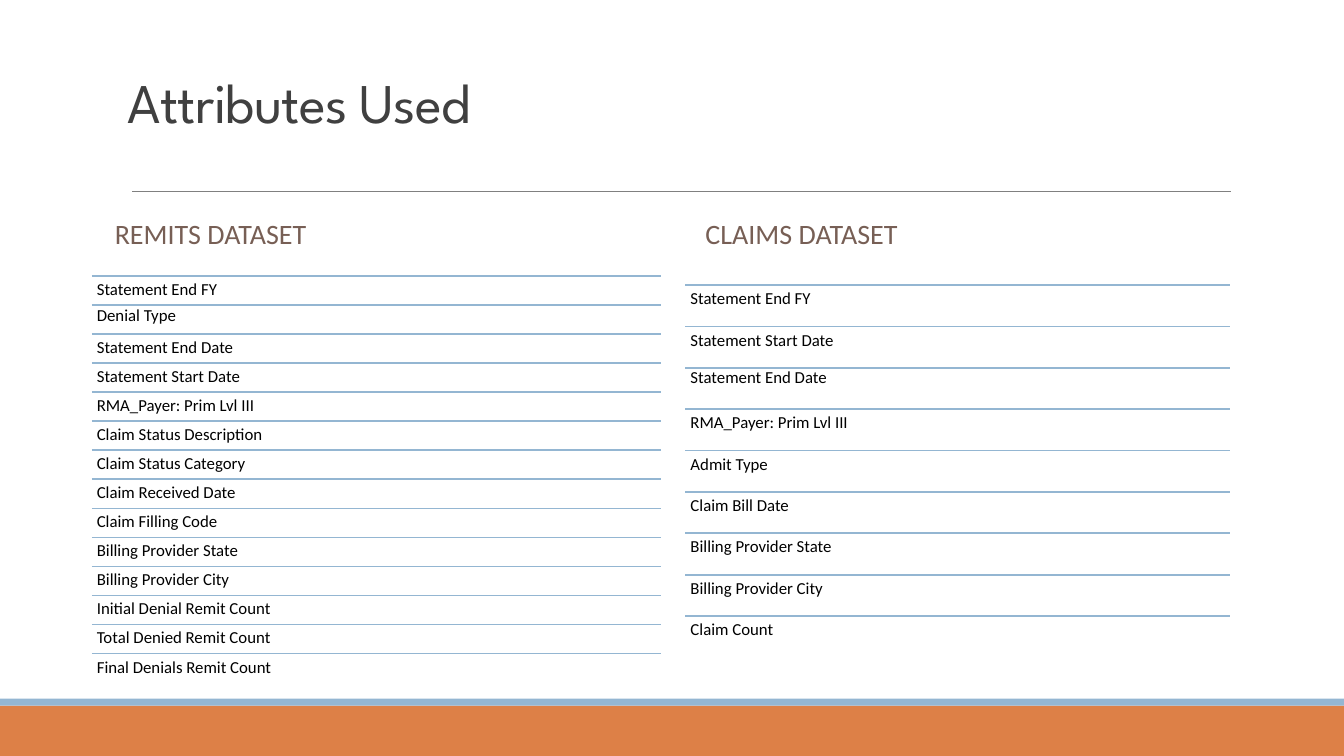
from dataclasses import dataclass

from lxml.etree import SubElement
from pptx import Presentation
from pptx.dml.color import RGBColor as RGB
from pptx.enum.shapes import MSO_CONNECTOR as Connector, MSO_SHAPE as Shape
from pptx.enum.text import MSO_ANCHOR as Anchor
from pptx.oxml.ns import qn
from pptx.util import Inches, Pt

# Content: spans are percent of slide width, tops and pitches percent of height
TITLE = "Attributes Used"
DATASETS = [
    {
        "heading": "REMITS DATASET", "heading_left": 7.8,
        "span": (6.83, 49.17), "top": 36.53, "pitch": 3.84,
        "raised": {"Denial Type": 0.4},
        "attributes": [
            "Statement End FY", "Denial Type", "Statement End Date",
            "Statement Start Date", "RMA_Payer: Prim Lvl III",
            "Claim Status Description", "Claim Status Category",
            "Claim Received Date", "Claim Filling Code",
            "Billing Provider State", "Billing Provider City",
            "Initial Denial Remit Count", "Total Denied Remit Count",
            "Final Denials Remit Count",
        ],
    },
    {
        "heading": "CLAIMS DATASET", "heading_left": 51.75,
        "span": (51, 91.5), "top": 37.73, "pitch": 5.47,
        "raised": {"Statement End Date": 0.53},
        "attributes": [
            "Statement End FY", "Statement Start Date", "Statement End Date",
            "RMA_Payer: Prim Lvl III", "Admit Type", "Claim Bill Date",
            "Billing Provider State", "Billing Provider City", "Claim Count",
        ],
    },
]


@dataclass(frozen=True)
class Theme:
    title_font: str = "League Spartan"
    body_font: str = "Calibri"
    title_size: int = 40
    heading_size: int = 20
    row_size: int = 12
    title: str = "404040"
    heading: str = "775F55"
    row: str = "000000"
    rule: str = "808080"
    blue: str = "94B6D2"
    orange: str = "DD8047"


theme = Theme()
deck = Presentation()
deck.slide_width, deck.slide_height = Inches(13.33), Inches(7.5)
slide = deck.slides.add_slide(deck.slide_layouts[6])


def across(percent):
    return round(deck.slide_width * percent / 100)


def down(percent):
    return round(deck.slide_height * percent / 100)


def add_band(top, height, color):
    band = slide.shapes.add_shape(Shape.RECTANGLE, 0, down(top), deck.slide_width, down(height))
    band.shadow.inherit = False
    band.fill.solid()
    band.fill.fore_color.rgb = RGB.from_string(color)
    band.line.fill.background()


def add_rule(shapes, span, top, color, weight):
    left, right = map(across, span)
    rule = shapes.add_connector(Connector.STRAIGHT, left, down(top), right, down(top))
    rule.line.color.rgb = RGB.from_string(color)
    rule.line.width = Pt(weight)
    SubElement(rule._element.spPr, qn("a:effectLst"))


def add_text(shapes, text, box, font, size, color, anchor, spacing=0.9, inset=None):
    left, top, width, height = box
    label = shapes.add_textbox(across(left), down(top), across(width), down(height))
    frame = label.text_frame
    frame.word_wrap = True
    frame.vertical_anchor = anchor
    if inset is not None:
        frame.margin_left = frame.margin_right = Inches(inset)
        frame.margin_top = frame.margin_bottom = Inches(inset)
    paragraph = frame.paragraphs[0]
    paragraph.text = text
    paragraph.line_spacing = spacing
    paragraph.font.name = font
    paragraph.font.size = Pt(size)
    paragraph.font.color.rgb = RGB.from_string(color)
    return paragraph


# Footer bands and title
add_band(93.33, 6.67, theme.orange)
add_band(92.4, 0.93, theme.blue)
add_rule(slide.shapes, (9.83, 91.6), 25.33, theme.rule, 0.5)
title = add_text(slide.shapes, TITLE, (8.78, 7.73, 82.5, 10.8), theme.title_font,
                 theme.title_size, theme.title, Anchor.BOTTOM, spacing=0.85)
title.runs[0]._r.get_or_add_rPr().set("spc", "-50")

# Dataset columns: heading above a ruled list
for dataset in DATASETS:
    add_text(slide.shapes, dataset["heading"], (dataset["heading_left"], 25.73, 40.5, 10.8),
             theme.body_font, theme.heading_size, theme.heading, Anchor.MIDDLE)
    left, right = dataset["span"]
    pitch = dataset["pitch"]
    rows = slide.shapes.add_group_shape().shapes
    for index, attribute in enumerate(dataset["attributes"]):
        top = dataset["top"] + index * pitch
        add_rule(rows, dataset["span"], top, theme.blue, 1.25)
        text_top = top - dataset["raised"].get(attribute, 0)
        add_text(rows, attribute, (left, text_top, right - left, pitch), theme.body_font,
                 theme.row_size, theme.row, Anchor.TOP, inset=0.05)

deck.save("out.pptx")
